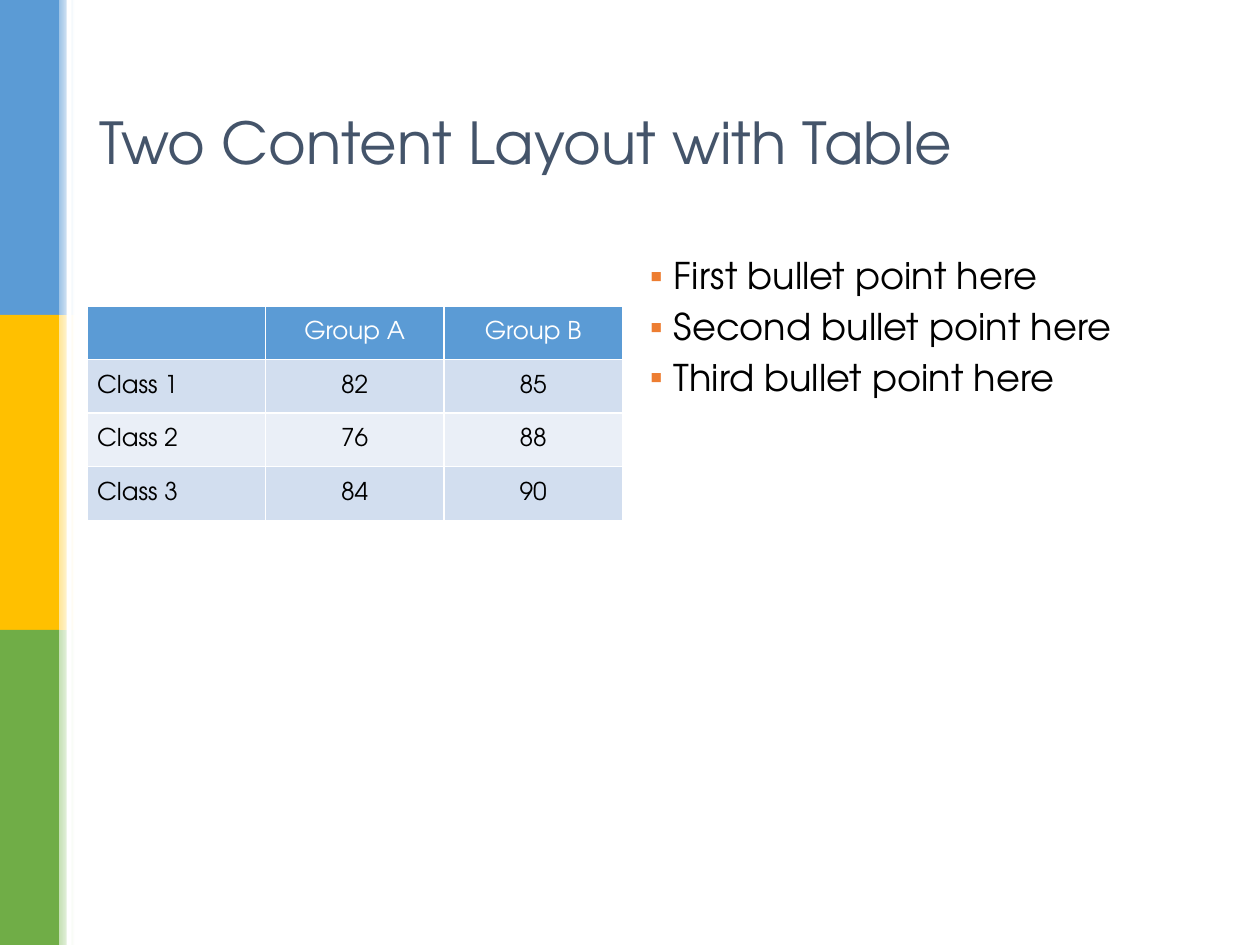
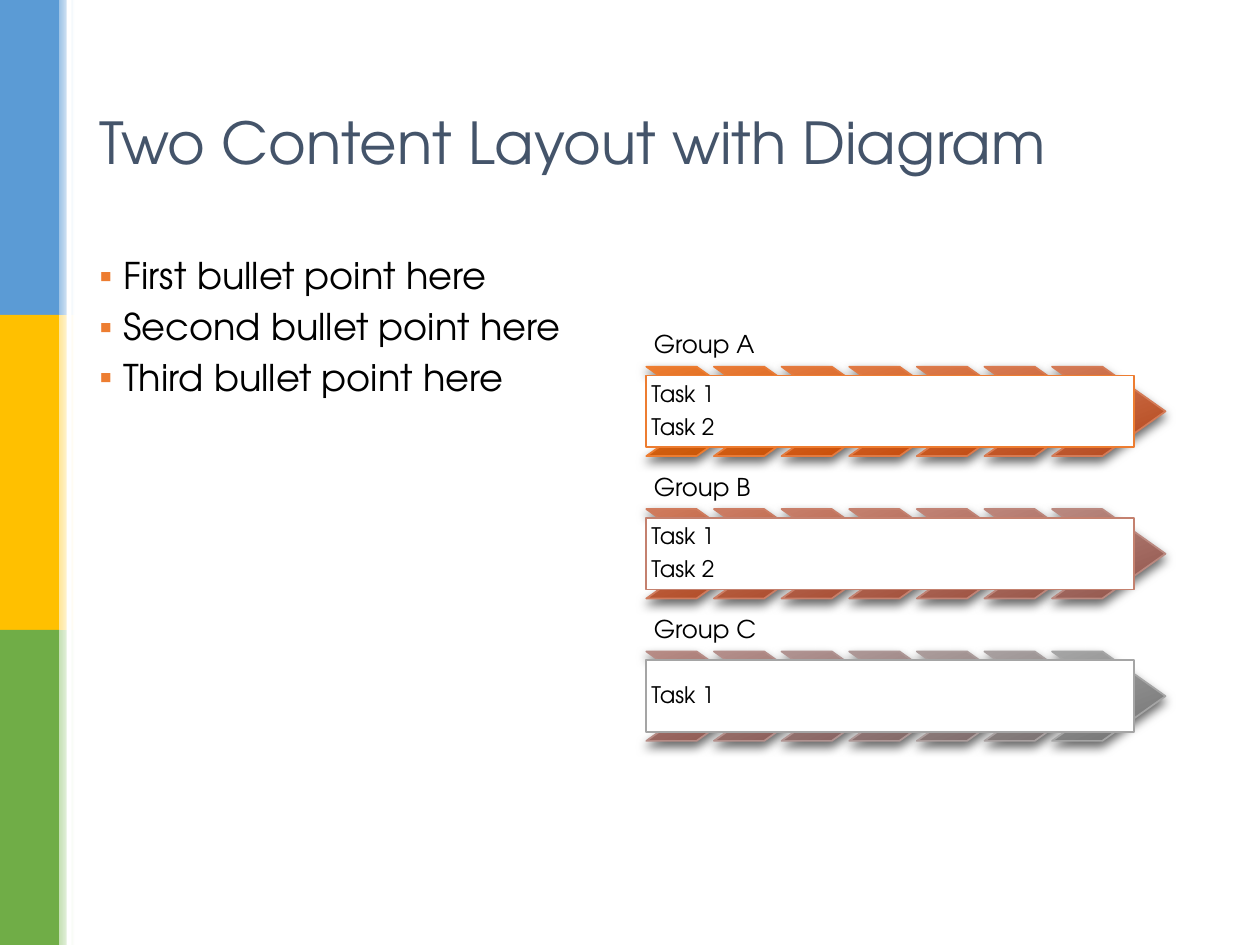
from colorsys import hls_to_rgb
from dataclasses import dataclass

from lxml.etree import SubElement
from pptx import Presentation
from pptx.dml.color import RGBColor
from pptx.enum.shapes import MSO_SHAPE
from pptx.enum.text import MSO_ANCHOR, PP_ALIGN
from pptx.oxml.ns import qn
from pptx.shapes.autoshape import Shape
from pptx.slide import Slide
from pptx.table import _Cell
from pptx.text.text import TextFrame, _Paragraph
from pptx.util import Inches, Pt

FONT = "TeX Gyre Adventor"
COLORS = {
    "white": "FFFFFF", "text": "000000", "title": "44546A", "bullet": "ED7D31",
    "blue": "5B9BD5", "blue light": "9DC3E6",
    "gold": "FFC000", "gold light": "FFE699",
    "green": "70AD47", "green light": "C5E0B4",
    "row odd": "D2DEEF", "row even": "EAEFF7",
}
BULLETS = ["First bullet point here", "Second bullet point here", "Third bullet point here"]
LEFT_COLUMN, RIGHT_COLUMN, COLUMN_WIDTH = 0.69, 5.06, 4.25
CHEVRONS_PER_GROUP = 7


@dataclass
class Area:
    """A rectangle on the page, in inches."""
    left: float
    top: float
    width: float
    height: float

    def lengths(self) -> list[int]:
        return [Inches(side) for side in (self.left, self.top, self.width, self.height)]


@dataclass
class TaskGroup:
    name: str
    tasks: list[str]


TABLE_ROWS = [
    ["", "Group A", "Group B"],
    ["Class 1", "82", "85"],
    ["Class 2", "76", "88"],
    ["Class 3", "84", "90"],
]
TASK_GROUPS = [
    TaskGroup("Group A", ["Task 1", "Task 2"]),
    TaskGroup("Group B", ["Task 1", "Task 2"]),
    TaskGroup("Group C", ["Task 1"]),
]


def rgb(name: str) -> RGBColor:
    return RGBColor.from_string(COLORS[name])


# Text helpers
def style_paragraph(para: _Paragraph, size: float, color: str = "text") -> None:
    para.font.name = FONT
    para.font.size = Pt(size)
    para.font.color.rgb = rgb(color)


def set_up_frame(frame: TextFrame, anchor: MSO_ANCHOR, side: float, edge: float) -> None:
    frame.word_wrap = True
    frame.vertical_anchor = anchor
    frame.margin_left = frame.margin_right = Inches(side)
    frame.margin_top = frame.margin_bottom = Inches(edge)


def write_lines(frame: TextFrame, lines: list[str], size: float, color: str = "text",
                before: float = 0, after: float = 0, spacing: float = 1.0) -> None:
    """Write one paragraph a line; space before and after are shares of the size."""
    for index, line in enumerate(lines):
        para = frame.paragraphs[0] if index == 0 else frame.add_paragraph()
        para.text = line
        para.line_spacing = spacing
        para.space_before = Pt(size * before)
        para.space_after = Pt(size * after)
        style_paragraph(para, size, color)


def add_bullet(para: _Paragraph) -> None:
    properties = para._p.get_or_add_pPr()
    properties.set("marL", str(Inches(0.19)))
    properties.set("indent", str(-Inches(0.19)))
    color = SubElement(properties, qn("a:buClr"))
    SubElement(color, qn("a:srgbClr"), val=COLORS["bullet"])
    SubElement(properties, qn("a:buFont"), typeface="Arial")
    SubElement(properties, qn("a:buChar"), char="▪")


# Shape helpers
def add_plain_shape(page: Slide, kind: MSO_SHAPE, area: Area) -> Shape:
    shape = page.shapes.add_shape(kind, *area.lengths())
    shape.shadow.inherit = False
    shape.line.fill.background()
    return shape


def add_block(page: Slide, area: Area, color: str) -> Shape:
    block = add_plain_shape(page, MSO_SHAPE.RECTANGLE, area)
    block.fill.solid()
    block.fill.fore_color.rgb = rgb(color)
    return block


def fill_gradient(shape: Shape, start: RGBColor, end: RGBColor, angle: float) -> None:
    """Fill from start to end; the angle runs clockwise."""
    shape.fill.gradient()
    shape.fill.gradient_angle = 360 - angle
    for stop, position, color in zip(shape.fill.gradient_stops, (0, 1), (start, end)):
        stop.position = position
        stop.color.rgb = color


def add_drop_shadow(shape: Shape) -> None:
    effects = shape._element.spPr.find(qn("a:effectLst"))
    shadow = SubElement(effects, qn("a:outerShdw"), blurRad=str(Pt(6)), dist=str(Pt(3)),
                        dir="5400000", algn="ctr", rotWithShape="0")
    color = SubElement(shadow, qn("a:srgbClr"), val="000000")
    SubElement(color, qn("a:alpha"), val="60000")


# Parts that both pages share
def add_side_bands(page: Slide) -> None:
    for index, color in enumerate(("blue", "gold", "green")):
        top = index * 2.5
        add_block(page, Area(0, top, 0.47, 2.5), color)
        fade = add_plain_shape(page, MSO_SHAPE.RECTANGLE, Area(0.47, top, 0.12, 2.5))
        fill_gradient(fade, rgb(f"{color} light"), rgb("white"), 0)
    add_block(page, Area(0.53, 0, 0.04, 7.5), "white")


def add_title(page: Slide, title: str) -> None:
    box = page.shapes.add_textbox(*Area(LEFT_COLUMN, 0.4, 8.62, 1.45).lengths())
    set_up_frame(box.text_frame, MSO_ANCHOR.MIDDLE, 0.1, 0.05)
    write_lines(box.text_frame, [title], 33, "title")


def add_bullets(page: Slide, left: float) -> None:
    box = page.shapes.add_textbox(*Area(left, 2, COLUMN_WIDTH, 4.76).lengths())
    set_up_frame(box.text_frame, MSO_ANCHOR.TOP, 0.1, 0.05)
    write_lines(box.text_frame, BULLETS, 21, before=0.3, spacing=0.9)
    for para in box.text_frame.paragraphs:
        add_bullet(para)


def add_page(deck: Presentation, title: str) -> Slide:
    page = deck.slides.add_slide(deck.slide_layouts[6])
    add_side_bands(page)
    add_title(page, title)
    return page


# Score table
def style_cell(cell: _Cell, fill: str) -> None:
    properties = cell._tc.get_or_add_tcPr()
    for side in ("a:lnL", "a:lnR", "a:lnT", "a:lnB"):
        border = SubElement(properties, qn(side), w=str(Pt(1)))
        color = SubElement(SubElement(border, qn("a:solidFill")), qn("a:srgbClr"))
        color.set("val", COLORS["white"])
    cell.fill.solid()
    cell.fill.fore_color.rgb = rgb(fill)
    cell.vertical_anchor = MSO_ANCHOR.MIDDLE
    cell.margin_left = cell.margin_right = Inches(0.08)
    cell.margin_top = cell.margin_bottom = Inches(0.04)


def add_score_table(page: Slide) -> None:
    area = Area(LEFT_COLUMN, 2.43, COLUMN_WIDTH, 1.7)
    table = page.shapes.add_table(len(TABLE_ROWS), len(TABLE_ROWS[0]), *area.lengths()).table
    table.first_row = table.horz_banding = False
    for row, values in enumerate(TABLE_ROWS):
        fill = "blue" if row == 0 else "row odd" if row % 2 else "row even"
        for column, value in enumerate(values):
            cell = table.cell(row, column)
            style_cell(cell, fill)
            para = cell.text_frame.paragraphs[0]
            para.text = value
            para.alignment = PP_ALIGN.CENTER if column else PP_ALIGN.LEFT
            style_paragraph(para, 14, "text" if row else "white")


# Task process
def process_colors(share: float) -> tuple[RGBColor, RGBColor]:
    """Light and dark tone, moving from orange (0) to grey (1)."""
    hue = 24.3 / 360 * (1 - share)
    saturation = 0.84 * (1 - share)
    dark_saturation = min(1, saturation * (1.38 - 0.38 * share))
    tones = ((0.56 + 0.087 * share, saturation), (0.382 + 0.061 * share, dark_saturation))
    light, dark = (
        RGBColor(*(round(255 * part) for part in hls_to_rgb(hue, lightness, amount)))
        for lightness, amount in tones
    )
    return light, dark


def add_chevron(page: Slide, area: Area, share: float) -> None:
    light, dark = process_colors(share)
    chevron = add_plain_shape(page, MSO_SHAPE.CHEVRON, area)
    chevron.adjustments[0] = 0.706
    fill_gradient(chevron, light, dark, 69)
    chevron.line.color.rgb = light
    chevron.line.width = Pt(1)
    add_drop_shadow(chevron)


def add_task_group(page: Slide, index: int, group: TaskGroup) -> None:
    left, top = 5.13, 2.56 + index * 1.13
    label = page.shapes.add_textbox(*Area(left, top, 3.83, 0.35).lengths())
    set_up_frame(label.text_frame, MSO_ANCHOR.BOTTOM, 0.06, 0.06)
    write_lines(label.text_frame, [group.name], 14, after=0.35, spacing=0.9)

    step = 3.22 / (CHEVRONS_PER_GROUP - 1)
    last = len(TASK_GROUPS) * CHEVRONS_PER_GROUP - 1
    for position in range(CHEVRONS_PER_GROUP):
        share = (index * CHEVRONS_PER_GROUP + position) / last
        add_chevron(page, Area(left + position * step, top + 0.35, 0.9, 0.71), share)

    box = add_block(page, Area(left, top + 0.42, 3.87, 0.57), "white")
    box.line.color.rgb = process_colors(index / (len(TASK_GROUPS) - 1))[0]
    box.line.width = Pt(1)
    set_up_frame(box.text_frame, MSO_ANCHOR.MIDDLE, 0.04, 0.04)
    write_lines(box.text_frame, group.tasks, 13, after=0.35, spacing=0.9)
    for para in box.text_frame.paragraphs:
        para.alignment = PP_ALIGN.LEFT


def main() -> None:
    deck = Presentation()
    deck.slide_width, deck.slide_height = Inches(10), Inches(7.5)

    # Page 1: table and bullets
    page = add_page(deck, "Two Content Layout with Table")
    add_score_table(page)
    add_bullets(page, RIGHT_COLUMN)

    # Page 2: bullets and task process
    page = add_page(deck, "Two Content Layout with Diagram")
    add_bullets(page, LEFT_COLUMN)
    for index, group in enumerate(TASK_GROUPS):
        add_task_group(page, index, group)

    deck.save("out.pptx")


main()
